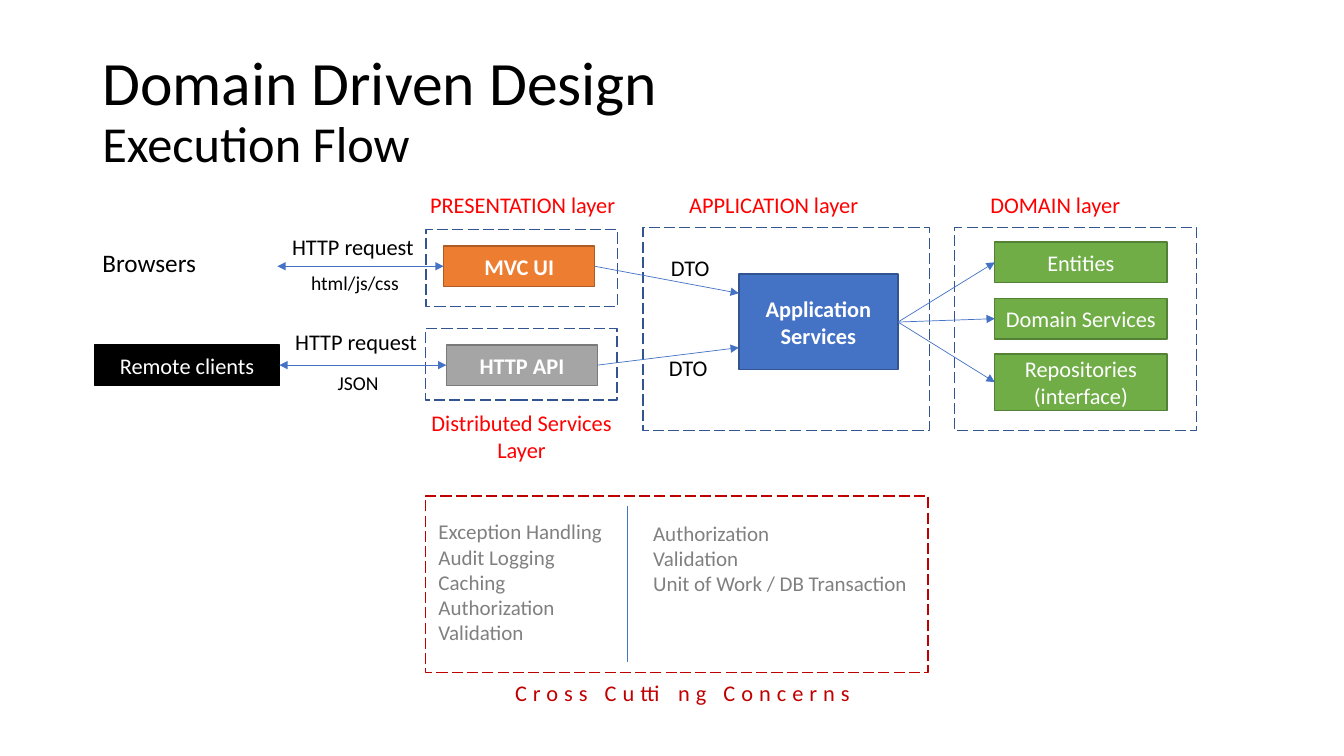
from pptx import Presentation
from pptx.dml.color import RGBColor
from pptx.enum.dml import MSO_LINE
from pptx.enum.shapes import MSO_CONNECTOR, MSO_SHAPE
from pptx.enum.text import MSO_ANCHOR, PP_ALIGN
from pptx.oxml.ns import qn
from pptx.util import Cm, Pt
from lxml import etree

RECTANGLE = MSO_SHAPE.RECTANGLE
STRAIGHT = MSO_CONNECTOR.STRAIGHT
DASH = MSO_LINE.LONG_DASH
MIDDLE = MSO_ANCHOR.MIDDLE
LEFT, CENTER = PP_ALIGN.LEFT, PP_ALIGN.CENTER
LEFT_SITE, RIGHT_SITE = 1, 3

BLACK = RGBColor(0x00, 0x00, 0x00)
WHITE = RGBColor(0xFF, 0xFF, 0xFF)
RED = RGBColor(0xFF, 0x00, 0x00)
DARK_RED = RGBColor(0xC0, 0x00, 0x00)
BLUE = RGBColor(0x44, 0x72, 0xC4)
DARK_BLUE = RGBColor(0x32, 0x54, 0x91)
GREEN = RGBColor(0x70, 0xAD, 0x47)
DARK_GREEN = RGBColor(0x53, 0x81, 0x35)
GRAY = RGBColor(0xA5, 0xA5, 0xA5)
DARK_GRAY = RGBColor(0x7A, 0x7A, 0x7A)
TEXT_GRAY = RGBColor(0x80, 0x80, 0x80)
ORANGE = RGBColor(0xED, 0x7D, 0x31)
DARK_ORANGE = RGBColor(0xAF, 0x5C, 0x24)


def write_lines(shape, lines, alignment, size, color, bold=False):
    font_format = {"name": "Calibri", "size": Pt(size), "bold": bold}
    for index, line in enumerate(lines):
        frame = shape.text_frame
        paragraph = frame.add_paragraph() if index else frame.paragraphs[0]
        paragraph.alignment = alignment
        run = paragraph.add_run()
        run.text = line
        for name, value in font_format.items():
            setattr(run.font, name, value)
        run.font.color.rgb = color


def add_rectangle(bounds, line_color):
    shape = slide.shapes.add_shape(RECTANGLE, *map(Cm, bounds))
    shape.shadow.inherit = False
    shape.line.color.rgb = line_color
    shape.line.width = Pt(1)
    return shape


presentation = Presentation()
presentation.slide_width = Cm(33.87)
presentation.slide_height = Cm(19.05)
slide = presentation.slides.add_slide(presentation.slide_layouts[6])

title = slide.shapes.add_textbox(Cm(2.33), Cm(1.01), Cm(29.21), Cm(3.68))
title.text_frame.word_wrap = True
title.text_frame.vertical_anchor = MIDDLE
title_paragraph = title.text_frame.paragraphs[0]
title_paragraph.line_spacing = 0.9
for text, size in [("Domain Driven Design", 44), ("Execution Flow", 36)]:
    if title_paragraph.runs:
        title_paragraph.add_line_break()
    run = title_paragraph.add_run()
    run.text = text
    run.font.name = "Calibri"
    run.font.size = Pt(size)
    run.font.color.rgb = BLACK

layer_frames = [
    ((10.74, 5.79, 4.83, 1.93), DARK_BLUE),
    ((10.72, 8.28, 4.83, 1.8), DARK_BLUE),
    ((16.21, 5.74, 7.21, 5.11), DARK_BLUE),
    ((24.05, 5.74, 6.1, 5.11), DARK_BLUE),
    ((10.72, 12.5, 12.67, 4.45), DARK_RED),
]
for bounds, line_color in layer_frames:
    frame_shape = add_rectangle(bounds, line_color)
    frame_shape.fill.background()
    frame_shape.line.dash_style = DASH

component_boxes = [
    ("remote", (2.39, 8.69, 4.65, 1.02), ["Remote clients"], BLACK, BLACK, False),
    ("mvc", (11.18, 6.2, 3.81, 1.02), ["MVC UI"], ORANGE, DARK_ORANGE, True),
    ("api", (11.25, 8.69, 3.81, 1.02), ["HTTP API"], GRAY, DARK_GRAY, True),
    ("services", (18.62, 6.91, 4.01, 2.41), ["Application", "Services"], BLUE, DARK_BLUE, True),
    ("entities", (25.07, 6.1, 4.34, 1.02), ["Entities"], GREEN, DARK_GREEN, False),
    ("domain", (25.07, 7.52, 4.34, 1.02), ["Domain Services"], GREEN, DARK_GREEN, False),
    ("repositories", (25.07, 8.92, 4.34, 1.42), ["Repositories (interface)"], GREEN, DARK_GREEN, False),
]
components = {}
for key, bounds, lines, fill_color, line_color, bold in component_boxes:
    box = add_rectangle(bounds, line_color)
    box.fill.solid()
    box.fill.fore_color.rgb = fill_color
    box.text_frame.word_wrap = True
    box.text_frame.vertical_anchor = MIDDLE
    write_lines(box, lines, CENTER, 16, WHITE, bold)
    components[key] = box

BOTH_ENDS, END_ONLY, NO_ENDS = ("headEnd", "tailEnd"), ("tailEnd",), ()
connections = [
    ((6.99, 6.71, 11.18, 6.71), None, "mvc", BOTH_ENDS),
    ((7.04, 9.2, 11.25, 9.2), "remote", "api", BOTH_ENDS),
    ((14.99, 6.71, 18.62, 7.39), "mvc", None, END_ONLY),
    ((15.06, 9.2, 18.62, 8.76), "api", None, END_ONLY),
    ((22.63, 8.11, 25.07, 6.61), "services", "entities", END_ONLY),
    ((22.63, 8.11, 25.07, 8.03), "services", "domain", END_ONLY),
    ((22.63, 8.11, 25.07, 9.63), "services", "repositories", END_ONLY),
    ((15.82, 12.75, 15.82, 16.69), None, None, NO_ENDS),
]
for points, start, end, arrow_ends in connections:
    connector = slide.shapes.add_connector(STRAIGHT, *map(Cm, points))
    if start:
        connector.begin_connect(components[start], RIGHT_SITE)
    if end:
        connector.end_connect(components[end], LEFT_SITE)
    connector.line.color.rgb = BLUE
    connector.line.width = Pt(0.5)
    properties = connector._element.spPr
    for arrow_end in arrow_ends:
        etree.SubElement(properties.find(qn("a:ln")), qn("a:" + arrow_end), type="triangle")
    etree.SubElement(properties, qn("a:effectLst"))

labels = [
    ((2.33, 6.12, 2.9, 1.02), ["Browsers"], LEFT, 18, BLACK),
    ((7.11, 5.74, 3.61, 0.94), ["HTTP request"], LEFT, 16, BLACK),
    ((7.19, 8.15, 3.61, 0.94), ["HTTP request"], LEFT, 16, BLACK),
    ((7.59, 6.71, 2.74, 0.86), ["html/js/css"], LEFT, 14, BLACK),
    ((8.26, 9.22, 1.55, 0.86), ["JSON"], LEFT, 14, BLACK),
    ((16.66, 6.27, 1.5, 0.94), ["DTO"], LEFT, 16, BLACK),
    ((16.61, 8.79, 1.5, 0.94), ["DTO"], LEFT, 16, BLACK),
    ((10.59, 4.7, 5.26, 0.94), ["PRESENTATION layer"], LEFT, 16, RED),
    ((17.12, 4.7, 4.83, 0.94), ["APPLICATION layer"], LEFT, 16, RED),
    ((24.71, 4.7, 3.84, 0.94), ["DOMAIN layer"], LEFT, 16, RED),
    ((10.59, 10.19, 5.11, 1.63), ["Distributed Services", "Layer"], CENTER, 16, RED),
    ((10.8, 12.95, 4.67, 3.45),
     ["Exception Handling", "Audit Logging", "Caching", "Authorization", "Validation"],
     LEFT, 15, TEXT_GRAY),
    ((16.21, 12.98, 6.96, 2.18),
     ["Authorization", "Validation", "Unit of Work / DB Transaction"], LEFT, 15, TEXT_GRAY),
    ((12.57, 16.99, 9.27, 0.94), ["Cross Cutting Concerns"], CENTER, 16, DARK_RED),
]
for bounds, lines, alignment, size, color in labels:
    label = slide.shapes.add_textbox(*map(Cm, bounds))
    label.text_frame.word_wrap = False
    write_lines(label, lines, alignment, size, color)

concerns_run = label.text_frame.paragraphs[0].runs[0]
concerns_run.font._element.set("spc", "430")

presentation.save("out.pptx")
